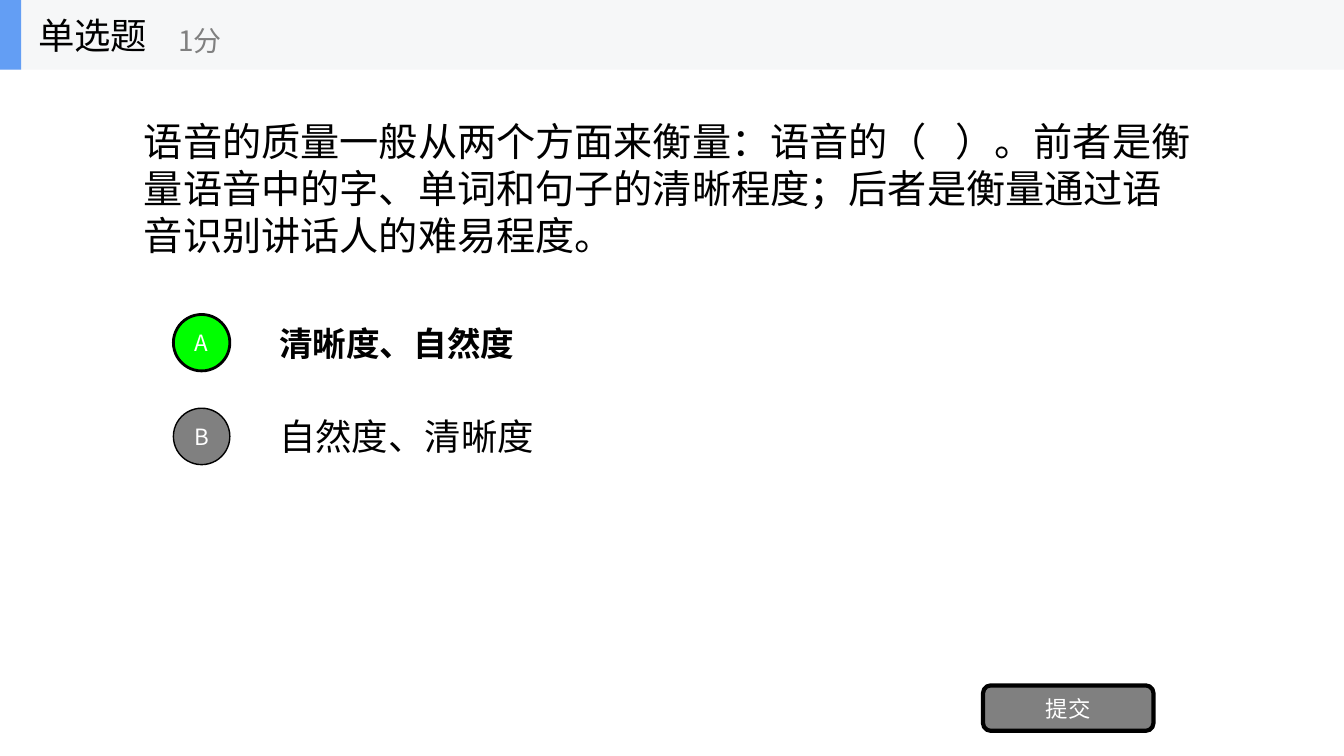
from lxml import etree
from pptx import Presentation
from pptx import util as u
from pptx.dml.color import RGBColor
from pptx.enum import shapes, text
from pptx.oxml.ns import qn

COLOURS = {
    "ink": "000000",
    "white": "FFFFFF",
    "grey": "808080",
    "correct": "00FF00",
    "band": "F6F7F8",
    "accent": "639EF4",
}
SANS = "Noto Sans CJK SC"
SERIF = "Times New Roman"


def colour(name):
    """Return the named colour of the palette."""
    return RGBColor.from_string(COLOURS[name])


def add_span(para, words, size, tone, face=SANS, bold=False):
    """Add one formatted run to a paragraph and return it."""
    span = para.add_run()
    span.text = words
    span.font.size = u.Pt(size)
    span.font.bold = bold
    span.font.color.rgb = colour(tone)
    span.font.name = face
    etree.SubElement(span.font._element, qn("a:ea"), typeface=SANS)
    return span


def add_label(page, box, wrap=True):
    """Add a vertically centred text box and return its first paragraph."""
    frame = page.shapes.add_textbox(*map(u.Inches, box)).text_frame
    frame.word_wrap = wrap
    frame.vertical_anchor = text.MSO_ANCHOR.MIDDLE
    return frame.paragraphs[0]


def add_block(page, kind, box, fill, outline=0):
    """Add a filled shape, outlined in black when a width is given."""
    block = page.shapes.add_shape(kind, *map(u.Inches, box))
    block.shadow.inherit = False
    block.fill.solid()
    block.fill.fore_color.rgb = colour(fill)
    if outline:
        block.line.color.rgb = colour("ink")
        block.line.width = u.Pt(outline)
    else:
        block.line.fill.background()
    return block


def add_button(page, kind, box, words, fill, outline):
    """Add an outlined shape with a centred white caption."""
    frame = add_block(page, kind, box, fill, outline).text_frame
    frame.margin_left = frame.margin_right = 0
    frame.margin_top = frame.margin_bottom = 0
    frame.vertical_anchor = text.MSO_ANCHOR.MIDDLE
    para = frame.paragraphs[0]
    para.alignment = text.PP_ALIGN.CENTER
    add_span(para, words, 16, "white")


def add_header(page, box):
    """Draw the title band with the question type and its score."""
    left, top, width, height = box
    rectangle = shapes.MSO_SHAPE.RECTANGLE
    add_block(page, rectangle, box, "band")
    add_block(page, rectangle, (left, top, 0.21, height), "accent")
    title = add_label(page, (left + 0.28, top, 2.08, height), wrap=False)
    add_span(title, "单选题", 26, "ink")
    score = add_label(page, (left + 1.67, top + 0.12, 2.5, 0.56), wrap=False)
    add_span(score, "1分", 20, "grey")


def add_question(page, box):
    """Write the question with a widened blank between the brackets."""
    para = add_label(page, box)
    add_span(para, "语音的质量一般从两个方面来衡量：语音的（", 28, "ink", SERIF)
    blank = add_span(para, " ", 28, "ink", SERIF)
    blank.font._element.set("spc", "1400")
    add_span(
        para,
        "）。前者是衡量语音中的字、单词和句子的清晰程度；"
        "后者是衡量通过语音识别讲话人的难易程度。",
        28, "ink", SERIF,
    )


def add_option(page, box, letter, words, correct):
    """Draw one answer: a lettered circle and its wording."""
    left, top, width, height = box
    size = 0.56
    circle = (left, top + (height - size) / 2, size, size)
    fill, outline = ("correct", 2) if correct else ("grey", 1)
    add_button(page, shapes.MSO_SHAPE.OVAL, circle, letter, fill, outline)
    para = add_label(page, (left + 0.95, top, width - 0.95, height))
    if correct:
        add_span(para, words, 24, "ink", SERIF, bold=True)
    else:
        add_span(para, words, 26, "ink")


def main():
    """Build the single-choice question slide."""
    deck = Presentation()
    deck.slide_width, deck.slide_height = u.Inches(13.33), u.Inches(7.5)
    page = deck.slides.add_slide(deck.slide_layouts[6])
    add_header(page, (0, 0, 13.33, 0.69))
    add_question(page, (1.33, 0.69, 10.67, 2.34))
    options = [("A", "清晰度、自然度", True), ("B", "自然度、清晰度", False)]
    for row, option in enumerate(options):
        add_option(page, (1.72, 3.05 + row * 0.93, 10.28, 0.7), *option)
    add_button(page, shapes.MSO_SHAPE.ROUNDED_RECTANGLE,
               (9.75, 6.8, 1.69, 0.45), "提交", "grey", 3)
    deck.save("out.pptx")


if __name__ == "__main__":
    main()
